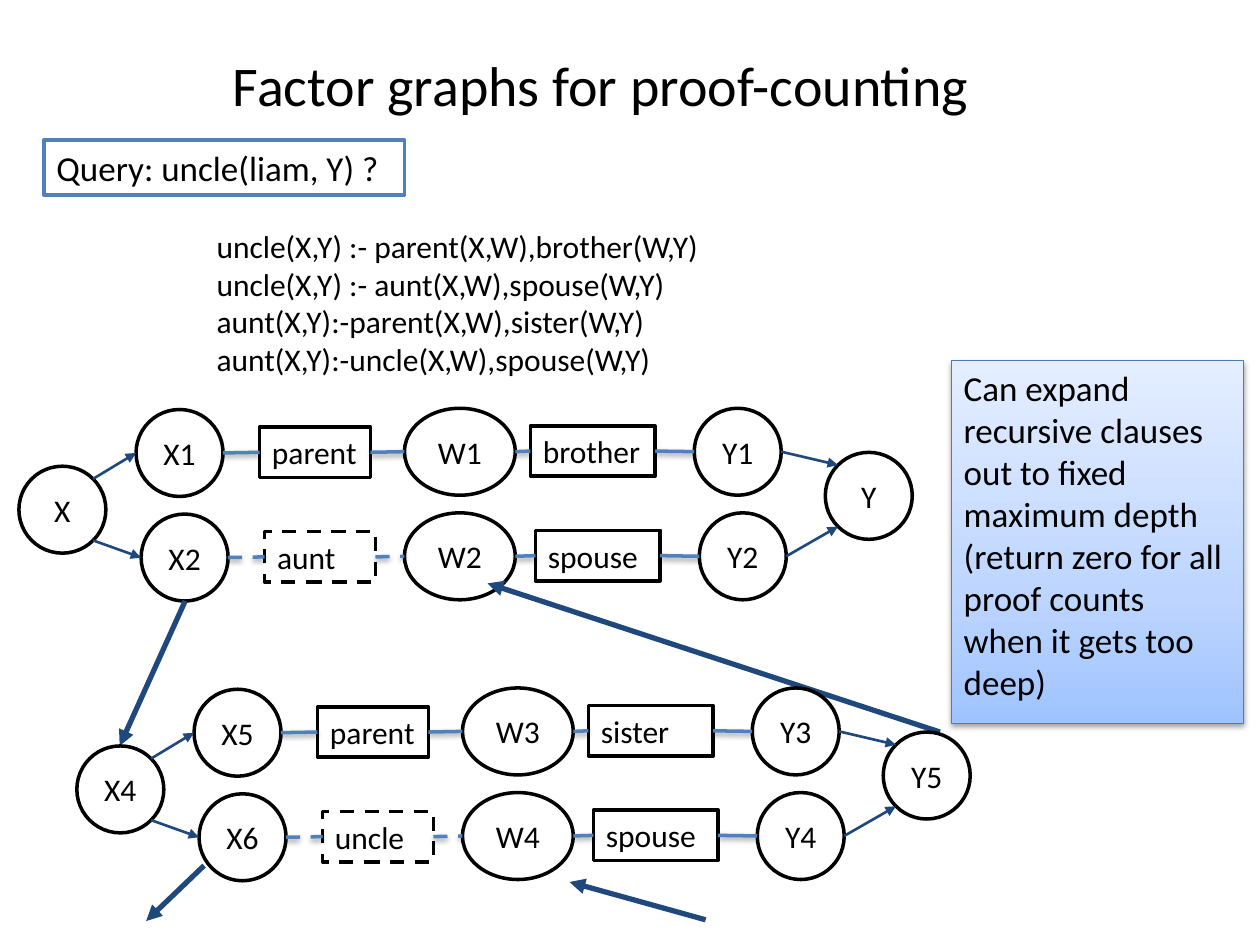
from copy import deepcopy
from dataclasses import dataclass

from lxml import etree
from pptx import Presentation
from pptx.dml.color import RGBColor
from pptx.enum.dml import MSO_LINE
from pptx.enum.shapes import MSO_CONNECTOR, MSO_SHAPE
from pptx.enum.text import MSO_ANCHOR, PP_ALIGN
from pptx.oxml.ns import qn
from pptx.util import Inches, Pt

OVAL, RECT = MSO_SHAPE.OVAL, MSO_SHAPE.RECTANGLE
STRAIGHT, DASH = MSO_CONNECTOR.STRAIGHT, MSO_LINE.DASH
TOP, MIDDLE = MSO_ANCHOR.TOP, MSO_ANCHOR.MIDDLE
LEFT, CENTER = PP_ALIGN.LEFT, PP_ALIGN.CENTER


@dataclass(frozen=True)
class Theme:
    font: str = "Calibri"
    ink: str = "000000"
    paper: str = "FFFFFF"
    link: str = "4F81BD"
    arrow: str = "1F497D"
    note_edge: str = "4A7DBA"
    note_stops: tuple = ((0, "9FC3FF"), (0.35, "BDD5FF"), (1, "E4EEFF"))
    title_size: int = 32
    callout_size: int = 20
    body_size: int = 18
    outline: float = 2
    thin: float = 1.5
    thick: float = 3


THEME = Theme()
NODE = 0.69
HUB_WIDTH = 0.88
FACTOR_HEIGHT = 0.4
DIAGONAL = 0.354


def set_effects(item, shadow=False):
    effects = etree.SubElement(item.element.spPr, qn("a:effectLst"))
    if shadow:
        outer = etree.SubElement(effects, qn("a:outerShdw"), blurRad=str(Pt(3.1)),
                                 dist=str(Pt(1.6)), dir="5400000", rotWithShape="0")
        color = etree.SubElement(outer, qn("a:srgbClr"), val=THEME.ink)
        etree.SubElement(color, qn("a:alpha"), val="38000")


def write(shape, text, size, align=LEFT, anchor=TOP):
    frame = shape.text_frame
    frame.word_wrap = True
    frame.vertical_anchor = anchor
    frame.text = text
    for para in frame.paragraphs:
        para.alignment = align
        for span in para.runs:
            span.font.name = THEME.font
            span.font.size = Pt(size)
            span.font.color.rgb = RGBColor.from_string(THEME.ink)


def add_box(page, kind, box, edge=None, width=THEME.outline, dashed=False, shadow=False):
    shape = page.shapes.add_shape(kind, *map(Inches, box))
    shape.fill.solid()
    shape.fill.fore_color.rgb = RGBColor.from_string(THEME.paper)
    if edge:
        shape.line.color.rgb = RGBColor.from_string(edge)
        shape.line.width = Pt(width)
        if dashed:
            shape.line.dash_style = DASH
    else:
        shape.line.fill.background()
    set_effects(shape, shadow)
    return shape


def add_line(page, start, end, color, width, dashed=False, arrow=False):
    line = page.shapes.add_connector(STRAIGHT, *map(Inches, (*start, *end)))
    line.line.color.rgb = RGBColor.from_string(color)
    line.line.width = Pt(width)
    if dashed:
        line.line.dash_style = DASH
    if arrow:
        etree.SubElement(line.element.spPr.find(qn("a:ln")), qn("a:tailEnd"), type="triangle")
    set_effects(line, shadow=not arrow)


def point(box, across, down):
    left, top, width, height = box
    return left + width * across, top + height * down


def add_node(page, box, label):
    write(add_box(page, OVAL, box, THEME.ink), label, THEME.body_size, CENTER, MIDDLE)


def add_factor(page, box, label, dashed):
    shape = add_box(page, RECT, box, THEME.ink, dashed=dashed)
    write(shape, label, THEME.body_size)
    shape.text_frame.margin_right = 0


def add_chain(page, left, top, hub_left, labels, dashed):
    boxes = [
        (left, top + 0.01, NODE, NODE),
        (left + 0.98, top + 0.15, 0.88, FACTOR_HEIGHT),
        (hub_left, top, HUB_WIDTH, NODE),
        (left + 3.13, top + 0.14, 0.99, FACTOR_HEIGHT),
        (left + 4.43, top, NODE, NODE),
    ]
    for index, (box, label) in enumerate(zip(boxes, labels)):
        if index % 2:
            add_factor(page, box, label, dashed and index == 1)
        else:
            add_node(page, box, label)
    for index, (before, after) in enumerate(zip(boxes, boxes[1:])):
        add_line(page, point(before, 1, 0.5), point(after, 0, 0.5),
                 THEME.link, THEME.outline, dashed and index < 2)
    return boxes[0], boxes[-1]


def add_graph(page, left, top, source, target, upper, lower):
    hub_left = left + 3.06
    source_box = (left, top + 0.46, NODE, NODE)
    target_box = (left + 6.4, top + 0.35, NODE, NODE)
    chains = (
        (add_chain(page, left + 0.93, top, hub_left, upper, False), -DIAGONAL),
        (add_chain(page, left + 0.97, top + 0.83, hub_left, lower, True), DIAGONAL),
    )
    add_node(page, source_box, source)
    add_node(page, target_box, target)
    for (first, last), rise in chains:
        add_line(page, point(source_box, 0.5 + DIAGONAL, 0.5 + rise), point(first, 0, 0.5),
                 THEME.arrow, THEME.thin, arrow=True)
        add_line(page, point(last, 1, 0.5), point(target_box, 0.5 - DIAGONAL, 0.5 + rise),
                 THEME.arrow, THEME.thin, arrow=True)


def add_expansion(page, *arrows):
    for start, end in arrows:
        add_line(page, start, end, THEME.arrow, THEME.thick, arrow=True)


def add_title(page, box, text):
    title = page.shapes.add_textbox(*map(Inches, box))
    write(title, text, THEME.title_size, CENTER)
    title.text_frame.margin_top = Inches(0.1)


def add_query(page, box, text):
    write(add_box(page, RECT, box, THEME.link), text, THEME.callout_size)


def add_rules(page, box, rules):
    write(add_box(page, RECT, box), "\n".join(rules), THEME.body_size)


def add_note(page, box, text):
    note = add_box(page, RECT, box, THEME.note_edge, 0.75, shadow=True)
    note.fill.gradient()
    note.fill.gradient_angle = 90
    stop_list = note.element.spPr.find(".//" + qn("a:gsLst"))
    stop_list.insert(1, deepcopy(stop_list[0]))
    for stop, (position, color) in zip(note.fill.gradient_stops, THEME.note_stops):
        stop.position = position
        stop.color.rgb = RGBColor.from_string(color)
    write(note, text, THEME.callout_size)


def main():
    deck = Presentation()
    deck.slide_width, deck.slide_height = Inches(10), Inches(7.5)
    page = deck.slides.add_slide(deck.slide_layouts[6])
    add_title(page, (0, 0.3, 9.54, 1.25), "Factor graphs for proof-counting")
    add_rules(page, (1.62, 1.75, 4.02, 1.49), (
        "uncle(X,Y) :- parent(X,W),brother(W,Y)",
        "uncle(X,Y) :- aunt(X,W),spouse(W,Y)",
        "aunt(X,Y):-parent(X,W),sister(W,Y)",
        "aunt(X,Y):-uncle(X,W),spouse(W,Y)",
    ))
    add_query(page, (0.35, 1.11, 2.86, 0.44), "Query: uncle(liam, Y) ?")
    add_note(page, (7.55, 2.86, 2.32, 2.88),
             "Can expand recursive clauses out to fixed maximum depth "
             "(return zero for all proof counts when it gets too deep)")
    add_graph(page, 0.15, 3.24, "X", "Y",
              ("X1", "parent", "W1", "brother", "Y1"),
              ("X2", "aunt", "W2", "spouse", "Y2"))
    add_expansion(page, ((1.47, 4.77), (0.95, 5.92)), ((7.46, 5.81), (3.87, 4.63)))
    add_graph(page, 0.61, 5.46, "X4", "Y5",
              ("X5", "parent", "W3", "sister", "Y3"),
              ("X6", "uncle", "W4", "spouse", "Y4"))
    add_expansion(page, ((1.62, 6.87), (1.16, 7.31)), ((5.6, 7.3), (4.52, 7)))
    deck.save("out.pptx")


if __name__ == "__main__":
    main()
